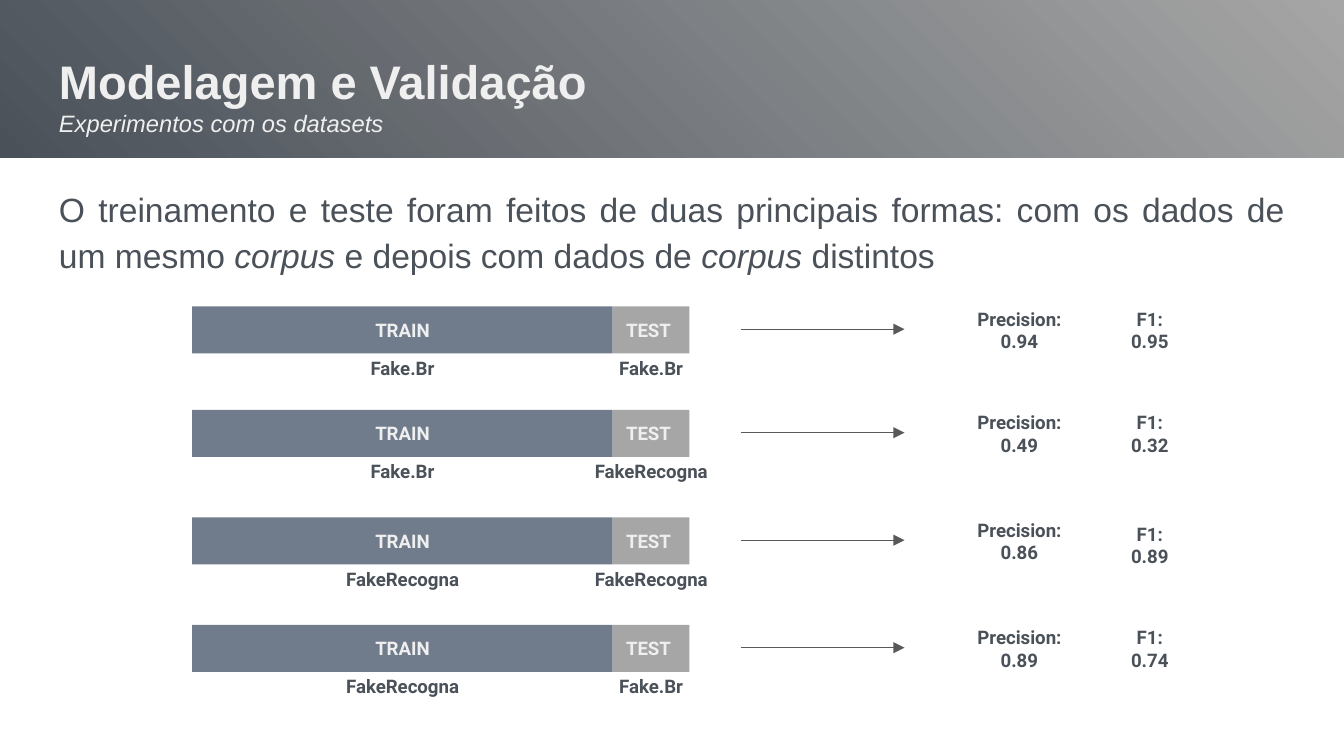
"""Build the slide on training and testing with equal and different corpora."""
from lxml.etree import SubElement
from pptx import Presentation
from pptx.dml.color import RGBColor
from pptx.enum.shapes import MSO_CONNECTOR, MSO_SHAPE
from pptx.enum.text import MSO_ANCHOR as Anchor, PP_ALIGN as Align
from pptx.oxml.ns import qn
from pptx.util import Inches, Pt

SLATE = RGBColor(0x4A, 0x51, 0x59)
BLUE_GRAY = RGBColor(0x70, 0x7C, 0x8C)
GRAY = RGBColor(0xA6, 0xA6, 0xA6)
ARROW_GRAY = RGBColor(0x59, 0x59, 0x59)
PALE = RGBColor(0xEF, 0xEF, 0xEF)

TITLE = "Modelagem e Validação"
SUBTITLE = "Experimentos com os datasets"
INTRO = [
    ("O treinamento e teste foram feitos de duas principais formas: "
     "com os dados de um mesmo ", False),
    ("corpus ", True),
    ("e depois com dados de ", False),
    ("corpus ", True),
    ("distintos", False),
]
EXPERIMENTS = [
    {"top": 2.28, "train": "Fake.Br", "test": "Fake.Br",
     "precision": "0.94", "f1": "0.95", "f1_top": 2.25},
    {"top": 3.05, "train": "Fake.Br", "test": "FakeRecogna",
     "precision": "0.49", "f1": "0.32", "f1_top": 3.02},
    {"top": 3.85, "train": "FakeRecogna", "test": "FakeRecogna",
     "precision": "0.86", "f1": "0.89", "f1_top": 3.85},
    {"top": 4.65, "train": "FakeRecogna", "test": "Fake.Br",
     "precision": "0.89", "f1": "0.74", "f1_top": 4.62},
]
BARS = [
    ("TRAIN", "train", 1.43, 3.13, BLUE_GRAY, Align.CENTER),
    ("TEST", "test", 4.56, 0.57, GRAY, Align.LEFT),
]
LABEL_WIDTHS = {"Fake.Br": 0.97, "FakeRecogna": 1.55}
BAR_HEIGHT, LABEL_HEIGHT = 0.35, 0.21
METRIC_WIDTH, METRIC_HEIGHT = 0.97, 0.41
PRECISION_LEFT, F1_LEFT = 7.1, 8.07
ARROW_START, ARROW_END, ARROW_DROP = 5.51, 6.73, 0.17

SLIDE_WIDTH = Inches(10)
SLIDE_HEIGHT = SLIDE_WIDTH * 9 // 16

HEADING = {"name": "Arial", "size": Pt(25.2), "bold": True}
SUBHEADING = {"name": "Arial", "size": Pt(12.7), "bold": False, "italic": True}
BODY = {"name": "Arial", "size": Pt(18)}
LABEL = {"name": "Roboto", "size": Pt(10), "bold": True}


def set_all(target, values):
    for name, value in values.items():
        setattr(target, name, value)


def write(box, paragraphs, color, anchor=Anchor.MIDDLE, **layout):
    frame = box.text_frame
    set_all(frame, {"word_wrap": True, "vertical_anchor": anchor})
    for side in ("left", "top", "right", "bottom"):
        setattr(frame, f"margin_{side}", Inches(0.1))
    for index, spans in enumerate(paragraphs):
        para = frame.paragraphs[0] if index == 0 else frame.add_paragraph()
        set_all(para, layout)
        for text, style in spans:
            span = para.add_run()
            span.text = text
            set_all(span.font, style)
            span.font.color.rgb = color


def add_text(page, place, paragraphs, color, **layout):
    box = page.shapes.add_textbox(*map(Inches, place))
    write(box, paragraphs, color, **layout)


def add_label(page, place, *lines):
    paragraphs = [[(line, LABEL)] for line in lines]
    add_text(page, place, paragraphs, SLATE, alignment=Align.CENTER)


def add_rectangle(page, *place):
    box = page.shapes.add_shape(MSO_SHAPE.RECTANGLE, *map(Inches, place))
    box.shadow.inherit = False
    box.line.fill.background()
    return box


def add_arrow(page, y):
    ends = (ARROW_START, y, ARROW_END, y)
    arrow = page.shapes.add_connector(MSO_CONNECTOR.STRAIGHT, *map(Inches, ends))
    arrow.line.color.rgb = ARROW_GRAY
    arrow.line.width = Pt(0.75)
    outline = arrow._element.spPr.find(qn("a:ln"))
    SubElement(outline, qn("a:tailEnd"), type="triangle")
    SubElement(arrow._element.spPr, qn("a:effectLst"))


def add_header(page):
    banner = add_rectangle(page, 0, 0, 10.03, 1.17)
    banner.fill.gradient()
    banner.fill.gradient_angle = 225
    for stop, color in zip(banner.fill.gradient_stops, (GRAY, SLATE)):
        stop.color.rgb = color
    add_text(page, (0.34, 0.3, 9.32, 0.82),
             [[(TITLE, HEADING)], [(SUBTITLE, SUBHEADING)]], PALE,
             anchor=Anchor.BOTTOM)


def add_intro(page):
    spans = [(text, BODY | {"italic": italic}) for text, italic in INTRO]
    add_text(page, (0.34, 1.26, 9.32, 0.9), [spans], SLATE, anchor=Anchor.TOP,
             alignment=Align.JUSTIFY, line_spacing=1.15, space_after=Pt(12))


def add_experiment(page, experiment):
    top = experiment["top"]
    for caption, role, left, width, color, alignment in BARS:
        bar = add_rectangle(page, left, top, width, BAR_HEIGHT)
        bar.fill.solid()
        bar.fill.fore_color.rgb = color
        write(bar, [[(caption, LABEL)]], PALE, alignment=alignment)
        corpus = experiment[role]
        label_width = LABEL_WIDTHS[corpus]
        label_left = left + (width - label_width) / 2
        add_label(page, (label_left, top + BAR_HEIGHT, label_width, LABEL_HEIGHT),
                  corpus)
    add_arrow(page, top + ARROW_DROP)
    precision_top = top + (BAR_HEIGHT - METRIC_HEIGHT) / 2
    add_label(page, (PRECISION_LEFT, precision_top, METRIC_WIDTH, METRIC_HEIGHT),
              f"Precision: {experiment['precision']}")
    add_label(page, (F1_LEFT, experiment["f1_top"], METRIC_WIDTH, METRIC_HEIGHT),
              "F1:", experiment["f1"])


def main():
    deck = Presentation()
    set_all(deck, {"slide_width": SLIDE_WIDTH, "slide_height": SLIDE_HEIGHT})
    page = deck.slides.add_slide(deck.slide_layouts[6])
    add_header(page)
    add_intro(page)
    for experiment in EXPERIMENTS:
        add_experiment(page, experiment)
    deck.save("out.pptx")


if __name__ == "__main__":
    main()
